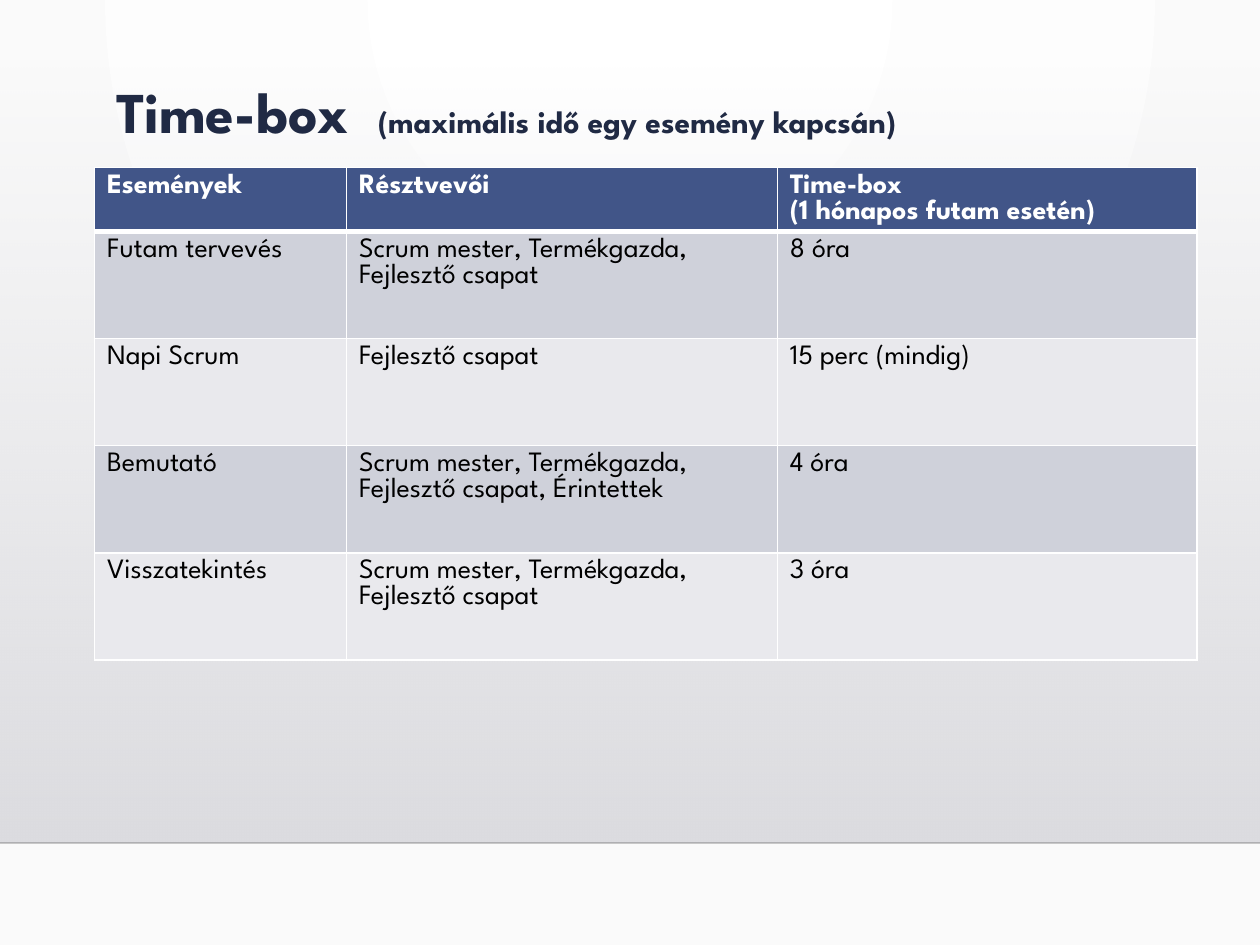
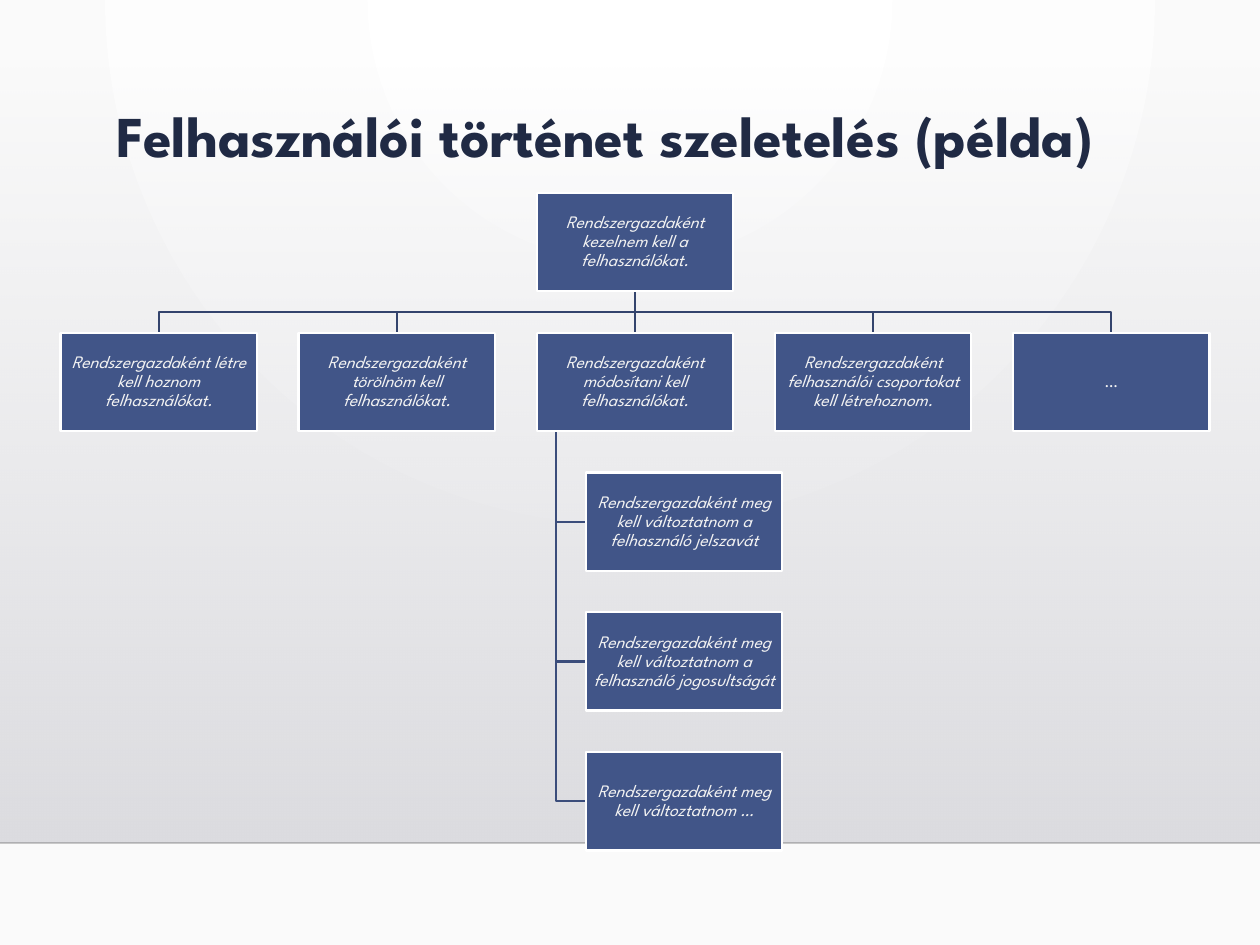
from typing import NamedTuple

from lxml.etree import SubElement
from pptx import Presentation
from pptx.dml.color import RGBColor
from pptx.enum.shapes import MSO_CONNECTOR, MSO_SHAPE
from pptx.enum.text import MSO_ANCHOR, PP_ALIGN
from pptx.oxml.ns import qn
from pptx.util import Inches, Pt

# Shared look
FONT = "League Spartan"
WHITE = RGBColor(0xFF, 0xFF, 0xFF)
PAPER = RGBColor(0xFA, 0xFA, 0xFA)
BAND_TOP = RGBColor(0xDC, 0xDC, 0xE0)
BAND_BOTTOM = RGBColor(0xDE, 0xDE, 0xE2)
RULE = RGBColor(0x00, 0x00, 0x01)
NAVY = RGBColor(0x20, 0x2A, 0x44)
BLUE = RGBColor(0x41, 0x55, 0x88)
BRANCH = RGBColor(0x34, 0x44, 0x6D)
TWIG = RGBColor(0x3B, 0x4D, 0x7B)
OFF_WHITE = RGBColor(0xF2, 0xF2, 0xF2)
BLACK = RGBColor(0x00, 0x00, 0x00)
ROW_FILLS = (RGBColor(0xCF, 0xD1, 0xDA), RGBColor(0xE9, 0xE9, 0xED))

SLIDE_W, SLIDE_H = 10, 7.5
BAND_Y, BAND_H = 0.51, 6.18

# Grid of the story tree
TREE_X, TREE_Y = 0.48, 1.53
COL_STEP, ROW_STEP = 1.89, 1.11
BOX_W, BOX_H = 1.56, 0.78
SPLIT_COL = 2
INDENT = BOX_W / 4
SPINE = BOX_W / 10


class Run(NamedTuple):
    text: str
    size: float
    color: RGBColor
    bold: bool = False
    italic: bool = False


class Box(NamedTuple):
    text: str
    col: int
    row: int
    indent: float = 0
    italic: bool = True

    @property
    def x(self) -> float:
        return TREE_X + self.col * COL_STEP + self.indent

    @property
    def y(self) -> float:
        return TREE_Y + self.row * ROW_STEP

    @property
    def center(self) -> float:
        return self.x + BOX_W / 2


EVENTS = (
    ("Események", "Résztvevői", "Time-box\n(1 hónapos futam esetén)"),
    ("Futam tervevés", "Scrum mester, Termékgazda, Fejlesztő csapat", "8 óra"),
    ("Napi Scrum", "Fejlesztő csapat", "15 perc (mindig)"),
    ("Bemutató", "Scrum mester, Termékgazda, Fejlesztő csapat, Érintettek", "4 óra"),
    ("Visszatekintés", "Scrum mester, Termékgazda, Fejlesztő csapat", "3 óra"),
)
EVENT_COLS = (2, 3.42, 3.33)
EVENT_ROWS = (0.42, 0.85, 0.85, 0.85, 0.85)

ROOT = Box("Rendszergazdaként kezelnem kell a felhasználókat.", SPLIT_COL, 0)
STORIES = [Box(text, col, 1, italic=text != "…") for col, text in enumerate((
    "Rendszergazdaként létre kell hoznom felhasználókat.",
    "Rendszergazdaként törölnöm kell felhasználókat.",
    "Rendszergazdaként módosítani kell felhasználókat.",
    "Rendszergazdaként felhasználói csoportokat kell létrehoznom.",
    "…",
))]
SLICES = [Box(text, SPLIT_COL, row, INDENT) for row, text in enumerate((
    "Rendszergazdaként meg kell változtatnom a felhasználó jelszavát",
    "Rendszergazdaként meg kell változtatnom a felhasználó jogosultságát",
    "Rendszergazdaként meg kell változtatnom …",
), start=2)]


def add_run(p, run: Run) -> None:
    r = p.add_run()
    r.text = run.text
    f = r.font
    f.name, f.size, f.bold, f.italic = FONT, Pt(run.size), run.bold, run.italic
    f.color.rgb = run.color


def set_alpha(owner, percent: int) -> None:
    SubElement(owner, qn("a:alpha"), val=str(percent * 1000))


def set_stops(fill, *colors: RGBColor) -> None:
    fill.gradient()
    for i, color in enumerate(colors):
        fill.gradient_stops[i].position = i
        fill.gradient_stops[i].color.rgb = color


def add_line(s, x1: float, y1: float, x2: float, y2: float, color: RGBColor, width: float):
    line = s.shapes.add_connector(
        MSO_CONNECTOR.STRAIGHT, Inches(x1), Inches(y1), Inches(x2), Inches(y2))
    line.line.color.rgb = color
    line.line.width = Pt(width)
    SubElement(line._element.spPr, qn("a:effectLst"))
    return line


def add_backdrop(s) -> None:
    # Radial glow from the top centre
    set_stops(s.background.fill, WHITE, PAPER)
    grad = s.element.find(".//" + qn("a:gradFill"))
    grad.remove(grad.find(qn("a:lin")))
    glow = SubElement(grad, qn("a:path"), path="circle")
    SubElement(glow, qn("a:fillToRect"), l="43000", t="0", r="43000", b="100000")

    # Band fading in downwards, closed by a faint rule
    band = s.shapes.add_shape(MSO_SHAPE.RECTANGLE, 0, Inches(BAND_Y),
                              Inches(SLIDE_W), Inches(BAND_H))
    band.shadow.inherit = False
    band.line.fill.background()
    set_stops(band.fill, BAND_TOP, BAND_BOTTOM)
    band.fill.gradient_angle = 270
    set_alpha(band._element.spPr.find(".//" + qn("a:srgbClr")), 0)
    floor = BAND_Y + BAND_H
    rule = add_line(s, 0, floor, SLIDE_W, floor, RULE, 1)
    set_alpha(rule._element.spPr.find(".//" + qn("a:srgbClr")), 20)


def add_title(s, y: float, w: float, *runs: Run, tab: float = 0) -> None:
    tf = s.shapes.add_textbox(Inches(0.83), Inches(y), Inches(w), Inches(0.92)).text_frame
    tf.word_wrap = True
    tf.margin_top = Inches(0.21)
    p = tf.paragraphs[0]
    if tab:
        tabs = SubElement(p._p.get_or_add_pPr(), qn("a:tabLst"))
        SubElement(tabs, qn("a:tab"), pos=str(Inches(tab)), algn="l")
    for run in runs:
        add_run(p, run)


def set_borders(cell, top: float, bottom: float) -> None:
    tc_pr = cell._tc.get_or_add_tcPr()
    for side, width in (("L", 1), ("R", 1), ("T", top), ("B", bottom)):
        ln = SubElement(tc_pr, qn(f"a:ln{side}"), w=str(Pt(width)))
        SubElement(SubElement(ln, qn("a:solidFill")), qn("a:srgbClr"), val=str(WHITE))


def add_events_table(s) -> None:
    table = s.shapes.add_table(
        len(EVENT_ROWS), len(EVENT_COLS), Inches(0.75), Inches(1.33),
        Inches(sum(EVENT_COLS)), Inches(sum(EVENT_ROWS))).table
    for column, width in zip(table.columns, EVENT_COLS):
        column.width = Inches(width)
    for i, (row, height, texts) in enumerate(zip(table.rows, EVENT_ROWS, EVENTS)):
        row.height = Inches(height)
        head = i == 0
        for cell, text in zip(row.cells, texts):
            set_borders(cell, 3 if i == 1 else 1, 3 if head else 1)
            cell.fill.solid()
            cell.fill.fore_color.rgb = BLUE if head else ROW_FILLS[(i - 1) % 2]
            tf = cell.text_frame
            for n, line in enumerate(text.split("\n")):
                p = tf.add_paragraph() if n else tf.paragraphs[0]
                add_run(p, Run(line, 16, WHITE if head else BLACK, bold=head))


def add_elbow(s, color: RGBColor, *points: tuple[float, float]) -> None:
    start, *rest = [(Inches(x), Inches(y)) for x, y in points]
    builder = s.shapes.build_freeform(*start)
    builder.add_line_segments(rest, close=False)
    sp = builder.convert_to_shape()
    sp.shadow.inherit = False
    sp.fill.background()
    sp.line.color.rgb = color
    sp.line.width = Pt(1.25)


def add_box(s, box: Box):
    sp = s.shapes.add_shape(MSO_SHAPE.RECTANGLE, Inches(box.x), Inches(box.y),
                            Inches(BOX_W), Inches(BOX_H))
    sp.shadow.inherit = False
    sp.fill.solid()
    sp.fill.fore_color.rgb = BLUE
    sp.line.color.rgb = WHITE
    sp.line.width = Pt(1.25)
    tf = sp.text_frame
    tf.word_wrap = True
    tf.vertical_anchor = MSO_ANCHOR.MIDDLE
    tf.margin_left = tf.margin_right = tf.margin_top = tf.margin_bottom = Inches(0.01)
    p = tf.paragraphs[0]
    p.alignment = PP_ALIGN.CENTER
    p.line_spacing = 0.9
    add_run(p, Run(box.text, 10, OFF_WHITE, italic=box.italic))
    return sp


def add_story_tree(s) -> None:
    # Branches lie behind the boxes
    split = STORIES[SPLIT_COL]
    root_bottom = ROOT.y + BOX_H
    fork = (root_bottom + split.y) / 2
    for story in STORIES:
        if story is not split:
            add_elbow(s, BRANCH, (ROOT.center, root_bottom), (ROOT.center, fork),
                      (story.center, fork), (story.center, story.y))
    spine = split.x + SPINE
    for part in SLICES:
        middle = part.y + BOX_H / 2
        add_elbow(s, TWIG, (spine, split.y + BOX_H), (spine, middle), (part.x, middle))
    trunk = add_line(s, ROOT.center, root_bottom, split.center, split.y, BRANCH, 1.25)

    # Boxes
    root_sp = add_box(s, ROOT)
    story_sps = [add_box(s, story) for story in STORIES]
    for part in SLICES:
        add_box(s, part)
    trunk.begin_connect(root_sp, 2)
    trunk.end_connect(story_sps[SPLIT_COL], 0)


def main() -> None:
    prs = Presentation()
    prs.slide_width, prs.slide_height = Inches(SLIDE_W), Inches(SLIDE_H)
    blank = prs.slide_layouts[6]

    # Time-box table
    s = prs.slides.add_slide(blank)
    add_backdrop(s)
    add_events_table(s)
    add_title(s, 0.39, 8.42, Run("Time-box\t", 33, NAVY, bold=True),
              Run("(maximális idő egy esemény kapcsán)", 18, NAVY, bold=True), tab=2.07)

    # Story slicing tree
    s = prs.slides.add_slide(blank)
    add_backdrop(s)
    add_story_tree(s)
    add_title(s, 0.58, 8.92,
              Run("Felhasználói történet szeletelés (példa)", 33, NAVY, bold=True))

    prs.save("out.pptx")


if __name__ == "__main__":
    main()
